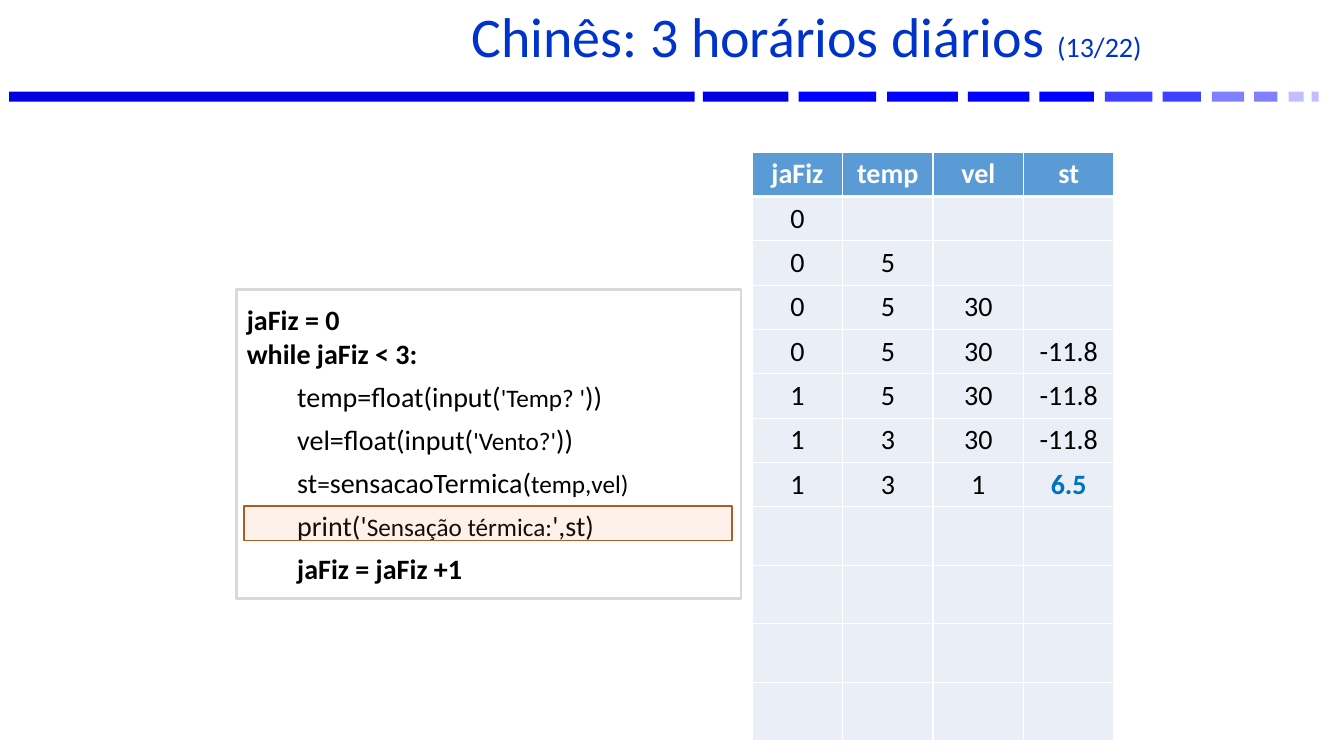
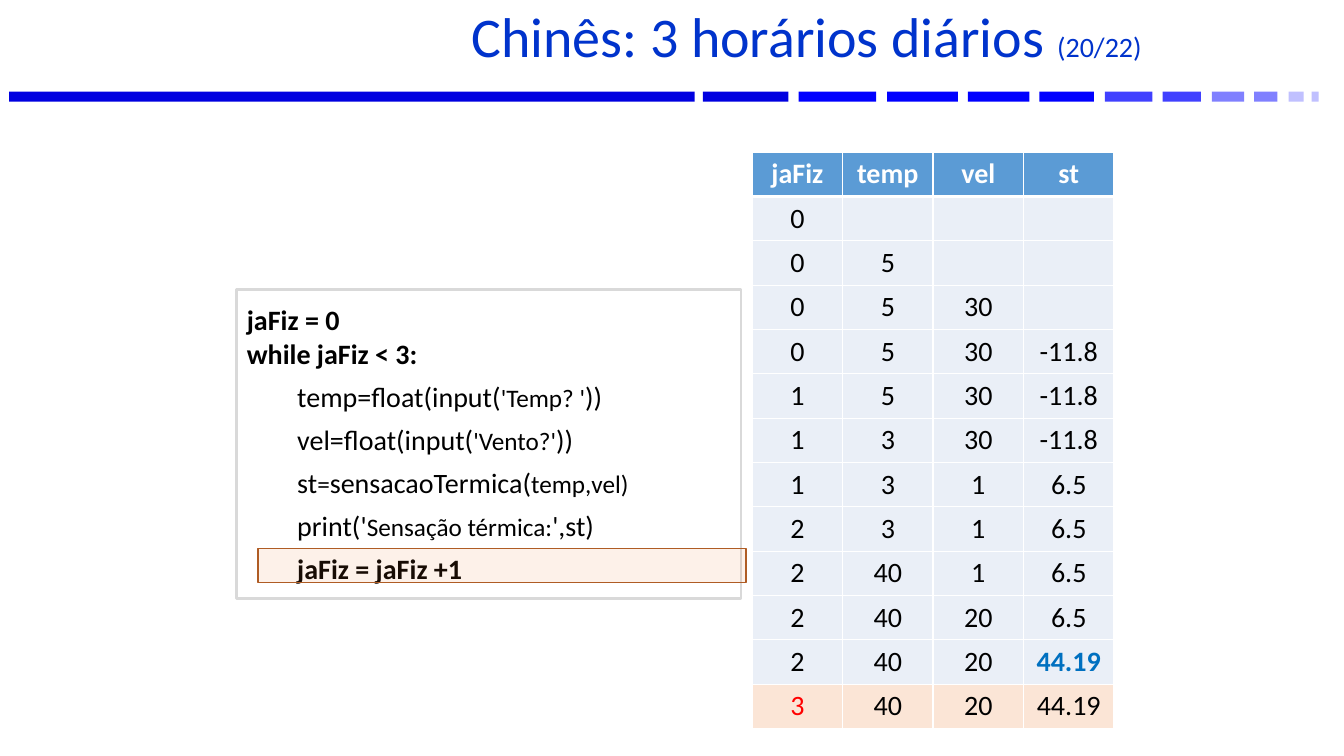
from lxml.etree import SubElement
from pptx import Presentation
from pptx.dml.color import RGBColor
from pptx.enum.shapes import MSO_SHAPE
from pptx.enum.text import MSO_ANCHOR, PP_ALIGN
from pptx.oxml.ns import qn
from pptx.util import Inches, Pt

# Rule segments: left, width, colour
RULE = [
    (0.09, 6.8, "0000E0"), (6.97, 0.85, "0000E0"), (7.92, 0.77, "0000FF"),
    (8.8, 0.7, "0000FF"), (9.6, 0.61, "0000FF"), (10.31, 0.54, "0000FF"),
    (10.96, 0.47, "4040FF"), (11.53, 0.38, "4040FF"), (12.02, 0.32, "8080FF"),
    (12.44, 0.23, "8080FF"), (12.78, 0.15, "C0C0FF"), (13.01, 0.07, "C0C0FF"),
]

# Code lines: indented, bold, runs of text and size
CODE = [
    (False, True, [("jaFiz = 0", 20)]),
    (False, True, [("while jaFiz < 3:", 20)]),
    (True, False, [("temp=float(input(", 20), ("'Temp? '", 18), ("))", 20)]),
    (True, False, [("vel=float(input(", 20), ("'Vento?'", 18), ("))", 20)]),
    (True, False, [("st", 20), ("=", 18), ("sensacaoTermica(", 20), ("temp,vel)", 18)]),
    (True, False, [("print('", 20), ("Sensação térmica:", 18), ("',st)", 20)]),
    (True, True, [("jaFiz = jaFiz +1", 20)]),
]

# Variable values after each step
HEADER = ["jaFiz", "temp", "vel", "st"]
TRACE = [
    ["0", "", "", ""],
    ["0", "5", "", ""],
    ["0", "5", "30", ""],
    ["0", "5", "30", "-11.8"],
    ["1", "5", "30", "-11.8"],
    ["1", "3", "30", "-11.8"],
    ["1", "3", "1", "6.5"],
    ["2", "3", "1", "6.5"],
    ["2", "40", "1", "6.5"],
    ["2", "40", "20", "6.5"],
    ["2", "40", "20", "44.19"],
    ["3", "40", "20", "44.19"],
]


def color(value):
    return RGBColor.from_string(value)


class Deck:
    FONT = "Calibri"
    TITLE, TEXT, WHITE = "0033CC", "000000", "FFFFFF"
    HEAD_FILL, ROW_FILL, LAST_FILL = "5B9BD5", "EAEFF7", "FBE5D6"
    PRINTED, CHANGED = "0070C0", "FF0000"
    ROW, BLANK_ROW = 0.44, 0.58

    def __init__(self):
        self.presentation = Presentation()
        self.presentation.slide_width = Inches(13.33)
        self.presentation.slide_height = Inches(7.5)
        self.slide = None

    def style(self, font, size, value, bold=False):
        font.name, font.size, font.bold = self.FONT, Pt(size), bold
        font.color.rgb = color(value)

    def new_slide(self, step):
        self.slide = self.presentation.slides.add_slide(self.presentation.slide_layouts[6])
        for left, width, fill in RULE:
            self.rectangle(left, 0.91, width, 0.1, fill)
        self.title("Chinês: 3 horários diários ", step)

    def rectangle(self, left, top, width, height, fill, line=None, line_width=1):
        shape = self.slide.shapes.add_shape(
            MSO_SHAPE.RECTANGLE, Inches(left), Inches(top), Inches(width), Inches(height))
        shape.shadow.inherit = False
        shape.fill.solid()
        shape.fill.fore_color.rgb = color(fill)
        if line:
            shape.line.color.rgb = color(line)
            shape.line.width = Pt(line_width)
        else:
            shape.line.fill.background()
        return shape

    def title(self, text, step):
        box = self.slide.shapes.add_textbox(Inches(2.62), Inches(0.06), Inches(10.76), Inches(0.7))
        frame = box.text_frame
        frame.word_wrap = True
        frame.vertical_anchor = MSO_ANCHOR.MIDDLE
        paragraph = frame.paragraphs[0]
        paragraph.alignment = PP_ALIGN.CENTER
        paragraph.line_spacing = 0.8
        self.style(paragraph.font, 40, self.TITLE)
        paragraph.add_run().text = text
        counter = paragraph.add_run()
        counter.text = step
        counter.font.size = Pt(20)

    def code(self):
        frame = self.rectangle(2.35, 2.87, 5, 3.07, self.WHITE, "D9D9D9", 2).text_frame
        frame.word_wrap = True
        frame.vertical_anchor = MSO_ANCHOR.MIDDLE
        frame.margin_top = frame.margin_bottom = 0
        for index, (indented, bold, runs) in enumerate(CODE):
            paragraph = frame.add_paragraph() if index else frame.paragraphs[0]
            paragraph.alignment = PP_ALIGN.LEFT
            if indented:
                paragraph._p.get_or_add_pPr().set("marL", str(Inches(0.5)))
                paragraph.line_spacing = 1.2
                paragraph.space_before = Pt(2)
            self.style(paragraph.font, 20, self.TEXT, bold)
            for text, size in runs:
                run = paragraph.add_run()
                run.text = text
                run.font.size = Pt(size)

    def highlight(self, left, top):
        shape = self.rectangle(left, top, 4.84, 0.34, "ED7D31", "AF5C24")
        fill = shape._element.spPr.find(qn("a:solidFill"))
        SubElement(fill[0], qn("a:alpha"), val="10000")

    def cell(self, cell, text, fill, value, bold, top, bottom):
        cell.vertical_anchor = MSO_ANCHOR.MIDDLE
        paragraph = cell.text_frame.paragraphs[0]
        paragraph.alignment = PP_ALIGN.CENTER
        self.style(paragraph.font, 20, value, bold)
        if text:
            paragraph.add_run().text = text
        # Borders come before the fill in the cell properties
        properties = cell._tc.get_or_add_tcPr()
        for side, width in (("L", 1), ("R", 1), ("T", top), ("B", bottom)):
            line = SubElement(properties, qn(f"a:ln{side}"), w=str(Pt(width)))
            solid = SubElement(line, qn("a:solidFill"))
            SubElement(solid, qn("a:srgbClr"), val=self.WHITE)
        cell.fill.solid()
        cell.fill.fore_color.rgb = color(fill)

    def trace(self, steps, blanks=0, printed=None, last=None):
        """Table of values; printed and last are row numbers to emphasise."""
        rows = [HEADER] + TRACE[:steps] + [[""] * len(HEADER)] * blanks
        heights = [self.ROW] * (steps + 1) + [self.BLANK_ROW] * blanks
        table = self.slide.shapes.add_table(
            len(rows), len(HEADER), Inches(7.46), Inches(1.51),
            Inches(3.59), Inches(sum(heights))).table
        for row, height in zip(table.rows, heights):
            row.height = Inches(height)
        for row, values in enumerate(rows):
            top, bottom = 3 if row == 1 else 1, 3 if row == 0 else 1
            for column, text in enumerate(values):
                fill = self.LAST_FILL if row == last else self.ROW_FILL
                value, bold = self.TEXT, False
                if row == 0:
                    fill, value, bold = self.HEAD_FILL, self.WHITE, True
                elif (row, column) == (printed, 3):
                    value, bold = self.PRINTED, True
                elif (row, column) == (last, 0):
                    value = self.CHANGED
                self.cell(table.cell(row, column), text, fill, value, bold, top, bottom)


def main():
    deck = Deck()

    # Second reading is printed
    deck.new_slide("(13/22)")
    deck.trace(steps=7, blanks=4, printed=7)
    deck.code()
    deck.highlight(2.42, 5.02)

    # Counter reaches the limit
    deck.new_slide("(20/22)")
    deck.trace(steps=12, printed=11, last=12)
    deck.code()
    deck.highlight(2.56, 5.44)

    deck.presentation.save("out.pptx")


if __name__ == "__main__":
    main()
